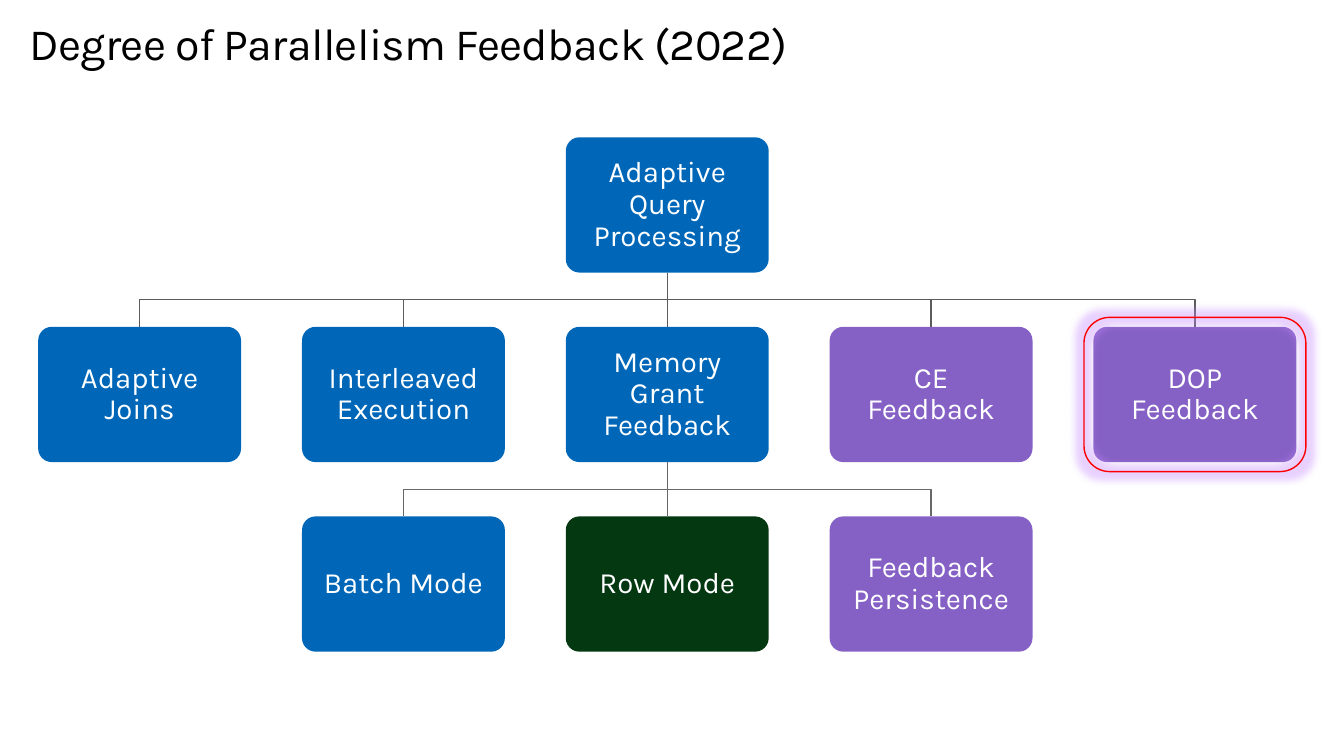
from lxml import etree
from pptx import Presentation
from pptx.dml.color import RGBColor
from pptx.enum import shapes, text
from pptx.oxml import ns
from pptx.util import Pt

FONT = "Karla"
COLORS = {
    "black": "000000", "white": "FFFFFF", "blue": "0067B8", "green": "043811",
    "purple": "8661C5", "upper_line": "5C5C5C", "lower_line": "686868",
    "red": "FF0000", "glow": "C78CFF",
}

# Tree grid: columns 0 to 4, rows 0 to 2
LEFT, TOP = 27.3, 98.1
BOX_W, BOX_H = 144.9, 96.6
COL_STEP, ROW_STEP = 188.45, 135.4
ROOT_COL = 2

BOXES = [  # label, row, column, colour
    ("Adaptive Query Processing", 0, 2, "blue"),
    ("Adaptive Joins", 1, 0, "blue"),
    ("Interleaved Execution", 1, 1, "blue"),
    ("Memory Grant Feedback", 1, 2, "blue"),
    ("CE Feedback", 1, 3, "purple"),
    ("DOP Feedback", 1, 4, "purple"),
    ("Batch Mode", 2, 1, "blue"),
    ("Row Mode", 2, 2, "green"),
    ("Feedback Persistence", 2, 3, "purple"),
]


def rgb(name):
    return RGBColor.from_string(COLORS[name])


def corner(row, col):
    """Left and top of a grid cell, in points."""
    return LEFT + col * COL_STEP, TOP + row * ROW_STEP


def add_effects(shape):
    return etree.SubElement(shape._element.spPr, ns.qn("a:effectLst"))


def set_title(s, title):
    sp = s.shapes.title
    sp.left, sp.top, sp.width, sp.height = Pt(21), Pt(13.7), Pt(864), Pt(36.2)
    tf = sp.text_frame
    tf.margin_left = tf.margin_right = tf.margin_top = tf.margin_bottom = 0
    tf.vertical_anchor = text.MSO_ANCHOR.TOP
    tf.auto_size = text.MSO_AUTO_SIZE.SHAPE_TO_FIT_TEXT
    p = tf.paragraphs[0]
    p.alignment = text.PP_ALIGN.LEFT
    p.line_spacing = Pt(36.2)
    p.font.name, p.font.size = FONT, Pt(32)
    p.font.color.rgb = rgb("black")
    r = p.add_run()
    r.text = title
    r._r.get_or_add_rPr().set("spc", "-50")


def add_round_rect(s, x, y, w, h):
    sp = s.shapes.add_shape(
        shapes.MSO_SHAPE.ROUNDED_RECTANGLE, Pt(x), Pt(y), Pt(w), Pt(h))
    sp.shadow.inherit = False
    return sp


def add_box(s, label, row, col, color):
    sp = add_round_rect(s, *corner(row, col), BOX_W, BOX_H)
    sp.adjustments[0] = 0.1
    sp.fill.solid()
    sp.fill.fore_color.rgb = rgb(color)
    sp.line.fill.background()
    tf = sp.text_frame
    tf.word_wrap = True
    tf.vertical_anchor = text.MSO_ANCHOR.MIDDLE
    tf.margin_left = tf.margin_right = tf.margin_top = tf.margin_bottom = Pt(9.3)
    p = tf.paragraphs[0]
    p.text = label
    p.alignment = text.PP_ALIGN.CENTER
    p.line_spacing = 0.9
    p.font.name, p.font.size = FONT, Pt(21)
    p.font.color.rgb = rgb("white")


def add_branch(s, row, col):
    """Line from the middle box of the row above down to a box."""
    left, end_y = corner(row, col)
    end_x = left + BOX_W / 2
    start_x = corner(row, ROOT_COL)[0] + BOX_W / 2
    start_y = end_y - ROW_STEP + BOX_H
    if col == ROOT_COL:
        sp = s.shapes.add_connector(
            shapes.MSO_CONNECTOR.STRAIGHT,
            Pt(start_x), Pt(start_y), Pt(end_x), Pt(end_y))
        add_effects(sp)
    else:
        mid_y = (start_y + end_y) / 2
        path = s.shapes.build_freeform(Pt(start_x), Pt(start_y))
        path.add_line_segments(
            [(Pt(x), Pt(y)) for x, y in
             ((start_x, mid_y), (end_x, mid_y), (end_x, end_y))], close=False)
        sp = path.convert_to_shape()
        sp.fill.background()
        sp.shadow.inherit = False
    sp.line.color.rgb = rgb("upper_line" if row == 1 else "lower_line")
    sp.line.width = Pt(1)


def add_highlight(s, row, col):
    """Red frame with a soft glow around a box."""
    x, y = corner(row, col)
    margin = 6.8
    sp = s.shapes.add_shape(
        shapes.MSO_SHAPE.ROUNDED_RECTANGLE, Pt(x - margin), Pt(y - margin),
        Pt(BOX_W + 2 * margin), Pt(BOX_H + 2 * margin))
    sp.fill.background()
    sp.line.color.rgb = rgb("red")
    sp.line.width = Pt(1)
    glow = etree.SubElement(add_effects(sp), ns.qn("a:glow"), rad=str(Pt(11)))
    color = etree.SubElement(glow, ns.qn("a:srgbClr"), val=COLORS["glow"])
    etree.SubElement(color, ns.qn("a:alpha"), val="40000")


def main():
    prs = Presentation()
    prs.slide_width, prs.slide_height = Pt(960), Pt(540)
    s = prs.slides.add_slide(prs.slide_layouts[5])
    set_title(s, "Degree of Parallelism Feedback (2022)")
    for label, row, col, color in BOXES:
        if row:
            add_branch(s, row, col)
        add_box(s, label, row, col, color)
    add_highlight(s, 1, 4)
    prs.save("out.pptx")


if __name__ == "__main__":
    main()
